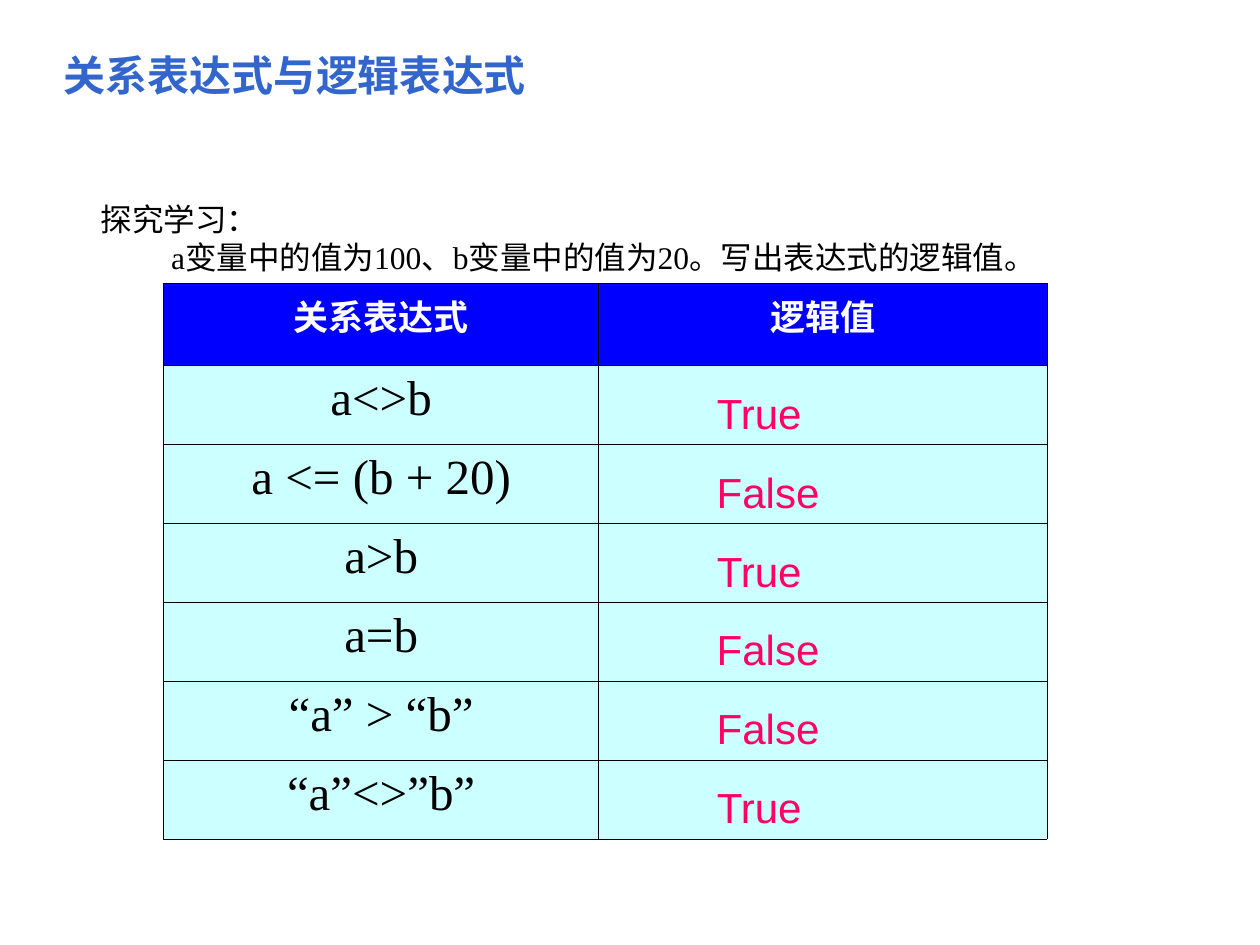
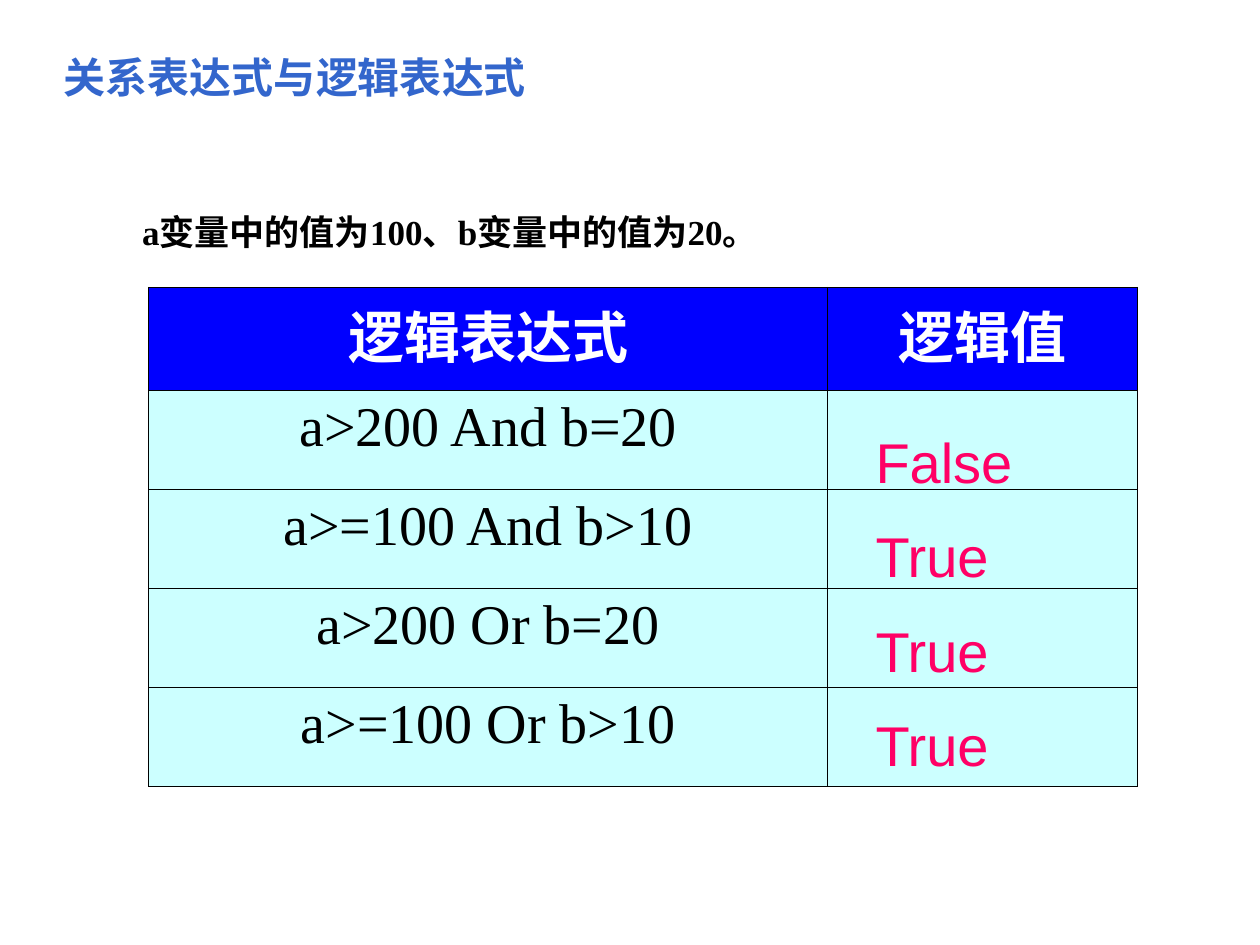
from dataclasses import dataclass
from typing import Any

from lxml import etree
from pptx import Presentation, util as u
from pptx.dml.color import RGBColor
from pptx.enum import text as t
from pptx.oxml.ns import qn

Inches = u.Inches


@dataclass(frozen=True)
class Theme:
    title_blue: str = "3366CC"
    head_fill: str = "0000FF"
    body_fill: str = "CCFFFF"
    head_text: str = "FFFFFF"
    ink: str = "000000"
    answer: str = "FF0066"
    cjk: str = "Noto Sans CJK SC"
    serif: str = "Times New Roman"
    sans: str = "Arial"
    title_size: int = 24
    border: float = 0.45


TH = Theme()
TITLE = "关系表达式与逻辑表达式"


@dataclass(frozen=True)
class Style:
    size: int
    font: str
    color: str
    bold: bool = False


@dataclass(frozen=True)
class Box:
    left: float
    top: float
    width: float
    height: float


@dataclass(frozen=True)
class Quiz:
    """One slide: a premise, a table of expressions and their answers."""
    title_top: float
    premise: list[str]
    premise_box: Box
    premise_style: Style
    header: str
    table_box: Box
    first_col: float
    head_height: float
    head_size: int
    body_size: int
    rows: list[tuple[str, str]]
    answer_left: float
    answer_tops: tuple[float, float]  # first and last answer
    answer_size: int
    answer_height: float
    answer_widths: dict[str, float]


QUIZZES = [
    Quiz(
        title_top=0.34,
        premise=["探究学习：", "a变量中的值为100、b变量中的值为20。写出表达式的逻辑值。"],
        premise_box=Box(0.7, 1.54, 8.04, 0.7),
        premise_style=Style(18, TH.serif, TH.ink),
        header="关系表达式", table_box=Box(1.3, 2.25, 7.01, 4.41), first_col=3.45,
        head_height=0.65, head_size=20, body_size=28,
        rows=[("a<>b", "True"), ("a <= (b + 20)", "False"), ("a>b", "True"),
              ("a=b", "False"), ("“a” > “b”", "False"), ("“a”<>”b”", "True")],
        answer_left=5.59, answer_tops=(3.03, 6.15), answer_size=24,
        answer_height=0.5, answer_widths={"True": 0.88, "False": 1.04},
    ),
    Quiz(
        title_top=0.36,
        premise=["a变量中的值为100、b变量中的值为20。"],
        premise_box=Box(1.03, 1.62, 5.55, 0.44),
        premise_style=Style(20, TH.serif, TH.ink, True),
        header="逻辑表达式", table_box=Box(1.18, 2.28, 7.85, 3.96), first_col=5.39,
        head_height=0.82, head_size=32, body_size=32,
        rows=[("a>200 And b=20", "False"), ("a>=100 And b>10", "True"),
              ("a>200 Or b=20", "True"), ("a>=100 Or b>10", "True")],
        answer_left=6.85, answer_tops=(3.34, 5.59), answer_size=32,
        answer_height=0.64, answer_widths={"True": 1.11, "False": 1.38},
    ),
]


def add_run(p: Any, words: str, style: Style) -> None:
    r = p.add_run()
    r.text = words
    formats = {"size": u.Pt(style.size), "name": style.font, "bold": style.bold}
    for name, value in formats.items():
        setattr(r.font, name, value)
    r.font.color.rgb = RGBColor.from_string(style.color)
    etree.SubElement(r.font._element, qn("a:ea"), typeface=TH.cjk)


def add_text(s: Any, box: Box, lines: list[str], style: Style,
             anchor: Any = t.MSO_ANCHOR.TOP) -> None:
    """Unwrapped text box; lines after the first are indented."""
    sp = s.shapes.add_textbox(*map(Inches, (box.left, box.top, box.width, box.height)))
    tf = sp.text_frame
    formats = {"word_wrap": False, "vertical_anchor": anchor,
               "auto_size": t.MSO_AUTO_SIZE.SHAPE_TO_FIT_TEXT}
    for name, value in formats.items():
        setattr(tf, name, value)
    for i, line in enumerate(lines):
        p = tf.add_paragraph() if i else tf.paragraphs[0]
        if i:
            p._p.get_or_add_pPr().set("marL", str(Inches(0.56)))
        add_run(p, line, style)


def format_cell(cell: Any, words: str, fill: str, style: Style) -> None:
    # Borders come before the fill in the cell properties
    tc_pr = cell._tc.get_or_add_tcPr()
    for side in ("lnL", "lnR", "lnT", "lnB"):
        ln = etree.SubElement(tc_pr, qn(f"a:{side}"), w=str(u.Pt(TH.border)))
        solid = etree.SubElement(ln, qn("a:solidFill"))
        etree.SubElement(solid, qn("a:srgbClr"), val=TH.ink)
    cell.fill.solid()
    cell.fill.fore_color.rgb = RGBColor.from_string(fill)
    if words:
        p = cell.text_frame.paragraphs[0]
        p.alignment = t.PP_ALIGN.CENTER
        add_run(p, words, style)


def add_quiz_table(s: Any, quiz: Quiz) -> None:
    grid = [(quiz.header, "逻辑值")] + [(expression, "") for expression, _ in quiz.rows]
    box = quiz.table_box
    bounds = map(Inches, (box.left, box.top, box.width, box.height))
    table = s.shapes.add_table(len(grid), 2, *bounds).table
    table.first_row = table.horz_banding = False
    for column, width in zip(table.columns, (quiz.first_col, box.width - quiz.first_col)):
        column.width = Inches(width)
    row_height = (box.height - quiz.head_height) / len(quiz.rows)
    head = Style(quiz.head_size, TH.serif, TH.head_text, True)
    body = Style(quiz.body_size, TH.serif, TH.ink)
    for i, words in enumerate(grid):
        table.rows[i].height = Inches(row_height if i else quiz.head_height)
        fill, style = (TH.body_fill, body) if i else (TH.head_fill, head)
        for j, word in enumerate(words):
            format_cell(table.cell(i, j), word, fill, style)


def add_answers(s: Any, quiz: Quiz) -> None:
    first, last = quiz.answer_tops
    step = (last - first) / (len(quiz.rows) - 1)
    style = Style(quiz.answer_size, TH.sans, TH.answer)
    for i, (_, answer) in enumerate(quiz.rows):
        box = Box(quiz.answer_left, first + i * step,
                  quiz.answer_widths[answer], quiz.answer_height)
        add_text(s, box, [answer], style)


def add_quiz_slide(prs: Any, quiz: Quiz) -> None:
    s = prs.slides.add_slide(prs.slide_layouts[6])
    add_text(s, Box(0.41, quiz.title_top, 3.94, 0.5), [TITLE],
             Style(TH.title_size, TH.cjk, TH.title_blue, True))
    add_text(s, quiz.premise_box, quiz.premise, quiz.premise_style, t.MSO_ANCHOR.MIDDLE)
    add_quiz_table(s, quiz)
    add_answers(s, quiz)


def main() -> None:
    prs = Presentation()
    prs.slide_width, prs.slide_height = Inches(10), Inches(7.5)
    for quiz in QUIZZES:
        add_quiz_slide(prs, quiz)
    prs.save("out.pptx")


if __name__ == "__main__":
    main()
